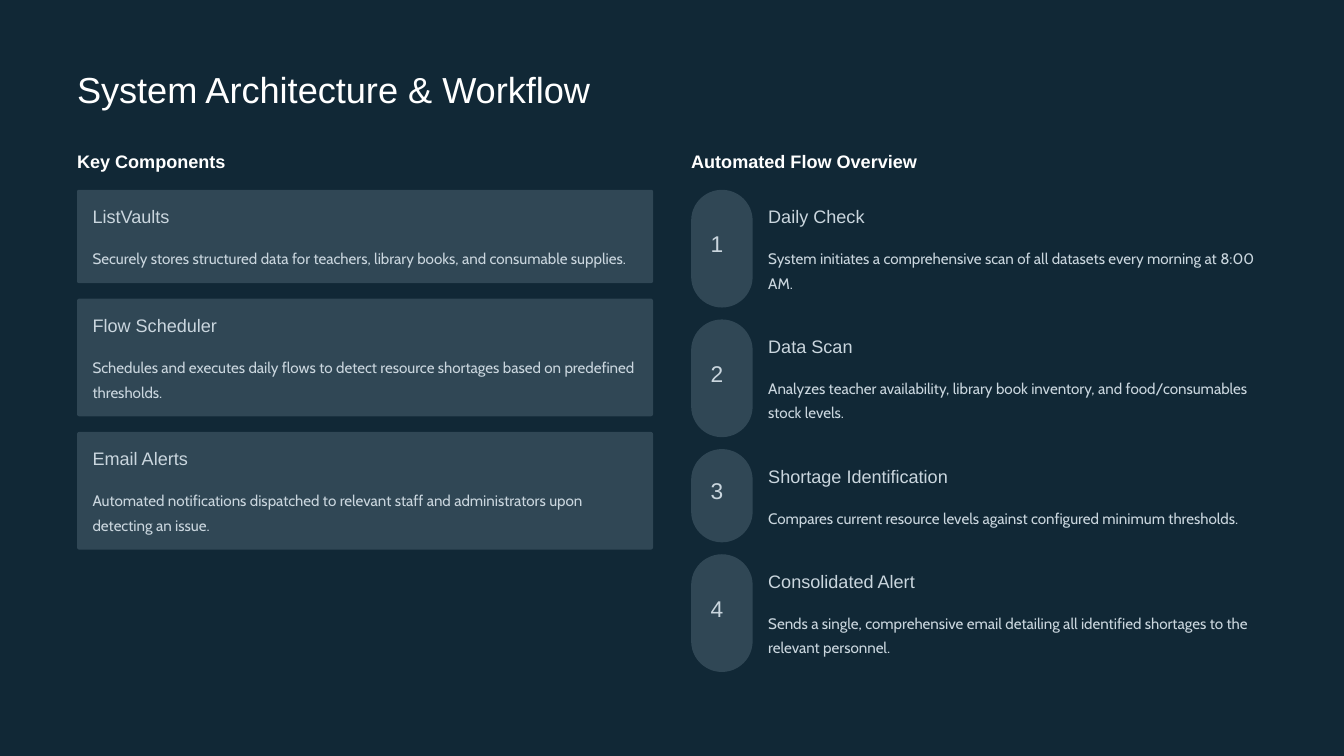
from pptx import Presentation
from pptx.dml.color import RGBColor
from pptx.enum import shapes as sh
from pptx.util import Cm, Pt

NIGHT, SLATE, WHITE, PALE = "112836", "304755", "FFFFFF", "CAD6DE"
LEFT, RIGHT, TOP = 2.33, 20.9, 5.74
LINE = 0.74

PARTS = [
    ("ListVaults", "Securely stores structured data for teachers, library books, "
     "and consumable supplies.", 1),
    ("Flow Scheduler", "Schedules and executes daily flows to detect resource "
     "shortages based on predefined thresholds.", 2),
    ("Email Alerts", "Automated notifications dispatched to relevant staff and "
     "administrators upon detecting an issue.", 2),
]
STEPS = [
    ("Daily Check", "System initiates a comprehensive scan of all datasets every "
     "morning at 8:00 AM.", 2),
    ("Data Scan", "Analyzes teacher availability, library book inventory, and "
     "food/consumables stock levels.", 2),
    ("Shortage Identification", "Compares current resource levels against "
     "configured minimum thresholds.", 1),
    ("Consolidated Alert", "Sends a single, comprehensive email detailing all "
     "identified shortages to the relevant personnel.", 2),
]


def paint(fill, tone):
    """Fill with one solid colour."""
    fill.solid()
    fill.fore_color.rgb = RGBColor.from_string(tone)


def label(slide, words, x, y, w, h, size, lead, tone=PALE, face="Arial", bold=False):
    """Add a text box without margins."""
    frame = slide.shapes.add_textbox(Cm(x), Cm(y), Cm(w), Cm(h)).text_frame
    frame.margin_left = frame.margin_right = 0
    frame.margin_top = frame.margin_bottom = 0
    frame.word_wrap = True
    frame.text = words
    line = frame.paragraphs[0]
    line.line_spacing = Pt(lead)
    font = line.runs[0].font
    font.name, font.size, font.bold = face, Pt(size), bold
    font.color.rgb = RGBColor.from_string(tone)


def panel(slide, x, y, w, h, curve):
    """Add a rounded slate panel."""
    shape = slide.shapes.add_shape(
        sh.MSO_SHAPE.ROUNDED_RECTANGLE, Cm(x), Cm(y), Cm(w), Cm(h))
    shape.adjustments[0] = curve
    shape.shadow.inherit = False
    shape.line.fill.background()
    paint(shape.fill, SLATE)


def entry(slide, name, note, count, x, y, w):
    """Add a heading with its description."""
    label(slide, name, x, y + 0.47, w, 0.68, 15.5, 19)
    label(slide, note, x, y + 1.62, w, LINE * count, 13, 21, face="Cabin")


def tall(count):
    """Return the panel height for a number of description lines."""
    return 2.08 + LINE * count


def cards(slide):
    """Stack the component cards."""
    y = TOP
    for name, note, count in PARTS:
        panel(slide, LEFT, y, 17.42, tall(count), 0.02)
        entry(slide, name, note, count, LEFT + 0.47, y, 16.48)
        y += tall(count) + 0.47


def flow(slide):
    """Stack the numbered steps."""
    y = TOP
    for rank, (name, note, count) in enumerate(STEPS, 1):
        high = tall(count)
        panel(slide, RIGHT, y, 1.86, high, 0.5)
        label(slide, str(rank), RIGHT + 0.59, y + high / 2 - 0.43, 0.69, 0.86, 19.5, 19.5)
        entry(slide, name, note, count, RIGHT + 2.33, y, 15.09)
        y += high + 0.36


def main():
    """Build and save the slide."""
    deck = Presentation()
    deck.slide_width, deck.slide_height = Cm(40.64), Cm(22.86)
    slide = deck.slides.add_slide(deck.slide_layouts[6])
    paint(slide.background.fill, NIGHT)
    label(slide, "System Architecture & Workflow", LEFT, 2, 21.4, 1.37, 31, 38.5, WHITE)
    for words, x in (("Key Components", LEFT), ("Automated Flow Overview", RIGHT)):
        label(slide, words, x, 4.55, 8.66, 0.68, 15.5, 19, WHITE, bold=True)
    cards(slide)
    flow(slide)
    deck.save("out.pptx")


if __name__ == "__main__":
    main()
